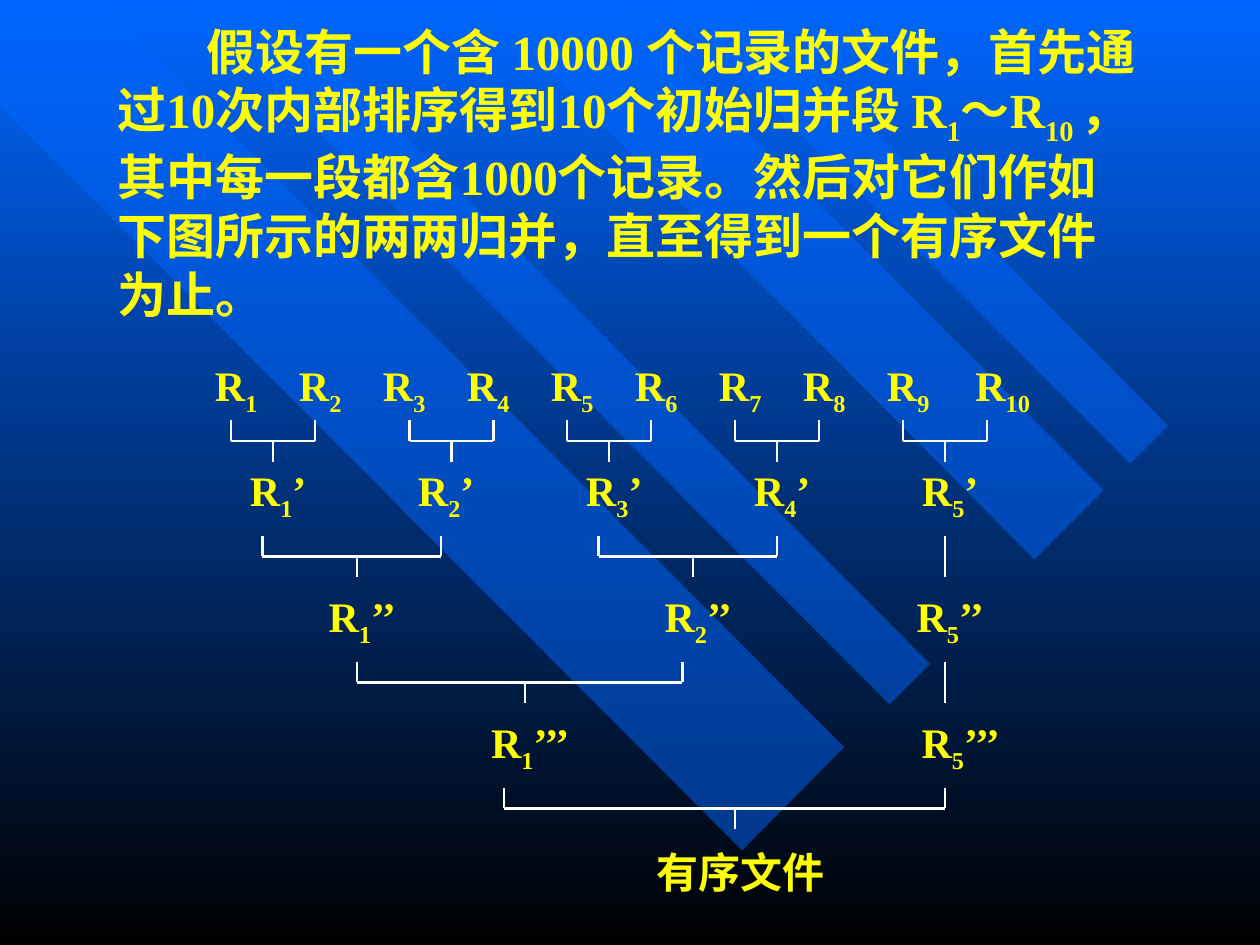
from pptx import Presentation
from pptx.dml.color import RGBColor
from pptx.enum.shapes import MSO_CONNECTOR
from pptx.enum.text import MSO_ANCHOR, MSO_AUTO_SIZE, PP_ALIGN
from pptx.oxml.ns import qn
from pptx.util import Inches, Pt
from lxml.etree import SubElement

STRAIGHT = MSO_CONNECTOR.STRAIGHT
MIDDLE = MSO_ANCHOR.MIDDLE
GROW = MSO_AUTO_SIZE.SHAPE_TO_FIT_TEXT
CENTER = PP_ALIGN.CENTER
LEFT = PP_ALIGN.LEFT
CELL = Inches(1) // 12


def color(value):
    return RGBColor.from_string(value)


class MergeSlide:
    font_name = "Times New Roman"
    text_color = "FFFF00"
    line_color = "FFFFFF"
    stripe_color = "0066FF"
    label_size = 24
    body_size = 28

    def __init__(self, deck):
        self.page = deck.slides.add_slide(deck.slide_layouts[6])

    def background(self, top, bottom):
        fill = self.page.background.fill
        fill.gradient()
        fill.gradient_angle = 270
        for stop, value, position in zip(fill.gradient_stops, (top, bottom), (0, 1)):
            stop.color.rgb = color(value)
            stop.position = position

    def stripe(self, points):
        start, *others = [(Inches(x), Inches(y)) for x, y in points]
        builder = self.page.shapes.build_freeform(*start)
        builder.add_line_segments(others)
        shape = builder.convert_to_shape()
        shape.shadow.inherit = False
        shape.line.fill.background()
        shape.fill.solid()
        shape.fill.fore_color.rgb = color(self.stripe_color)
        tint = shape._element.spPr.find(qn("a:solidFill"))[0]
        SubElement(tint, qn("a:alpha")).set("val", "50000")

    def text(self, column, row, columns, rows, marked, size, align):
        box = self.page.shapes.add_textbox(
            *(int(CELL * cells) for cells in (column, row, columns, rows)))
        frame = box.text_frame
        frame.vertical_anchor = MIDDLE
        para = frame.paragraphs[0]
        para.alignment = align
        para.font.size = Pt(size)
        para.font.name = self.font_name
        para.font.bold = True
        para.font.color.rgb = color(self.text_color)
        for index, part in enumerate(marked.split("|")):
            span = para.add_run()
            span.text = part
            if index % 2:
                span._r.get_or_add_rPr().set("baseline", "-25000")
        return frame

    def label(self, column, row, marked, columns=7):
        frame = self.text(column, row, columns, 4, marked, self.label_size, CENTER)
        frame.word_wrap = False
        frame.margin_left = frame.margin_right = 0

    def body(self, column, row, columns, rows, marked, indent):
        frame = self.text(column, row, columns, rows, marked, self.body_size, LEFT)
        frame.word_wrap = True
        frame.auto_size = GROW
        properties = frame.paragraphs[0]._p.get_or_add_pPr()
        properties.set("indent", str(Inches(indent)))

    def line(self, *ends):
        connector = self.page.shapes.add_connector(
            STRAIGHT, *(CELL * cells for cells in ends))
        connector.line.color.rgb = color(self.line_color)
        connector.line.width = Pt(1.5)
        SubElement(connector._element.spPr, qn("a:effectLst"))

    def bracket(self, row, left, right, stem):
        middle = row + 2
        self.line(left, row, left, middle)
        self.line(right, row, right, middle)
        self.line(left, middle, right, middle)
        self.line(stem, middle, stem, middle + 2)


STRIPES = [
    [(6.7, 5.93), (0.79, 0), (0, 0), (0, 0.84), (5.89, 6.75)],
    [(2.14, 0), (7.38, 5.27), (7.06, 5.59), (1.49, 0)],
    [(4.89, 0), (8.76, 3.89), (8.21, 4.44), (3.8, 0)],
    [(5.3, 0), (8.97, 3.68), (9.27, 3.38), (5.91, 0)],
]
RUN_COLUMNS = [*range(19, 84, 8), 92]
MERGED_RUNS = [
    (45, "’", 7, [(1, 23), (2, 39), (3, 55), (4, 71), (5, 87)]),
    (57, "’’", 7, [(1, 31), (2, 63), (5, 87)]),
    (69, "’’’", 9, [(1, 46), (5, 87)]),
]
BRACKETS = [
    (40, [(left, left + 8, left + 4) for left in (22, 39, 54, 70, 86)]),
    (51, [(25, 42, 34), (57, 74, 66)]),
    (63, [(34, 65, 50)]),
    (75, [(48, 90, 70)]),
]
INTRODUCTION = (
    "假设有一个含 10000 个记录的文件，首先通过10次内部排序得到10个初始归并段 R|1|～R|10 |"
    "，其中每一段都含1000个记录。然后对它们作如下图所示的两两归并，直至得到一个有序文件为止。"
)


def main():
    deck = Presentation()
    deck.slide_width, deck.slide_height = Inches(10), Inches(7.5)
    slide = MergeSlide(deck)
    slide.background("0066FF", "000000")
    for points in STRIPES:
        slide.stripe(points)
    for number, column in enumerate(RUN_COLUMNS, 1):
        slide.label(column, 35, f"R|{number}")
    for row, primes, columns, runs in MERGED_RUNS:
        for number, column in runs:
            slide.label(column, row, f"R|{number}|{primes}", columns)
    for row, spans in BRACKETS:
        for left, right, stem in spans:
            slide.bracket(row, left, right, stem)
    for row in (51, 63):
        slide.line(90, row, 90, row + 4)
    slide.label(60, 81, "有序文件", columns=21)
    slide.body(10, 1, 100, 30.8, INTRODUCTION, indent=0.71)
    deck.save("out.pptx")


if __name__ == "__main__":
    main()
